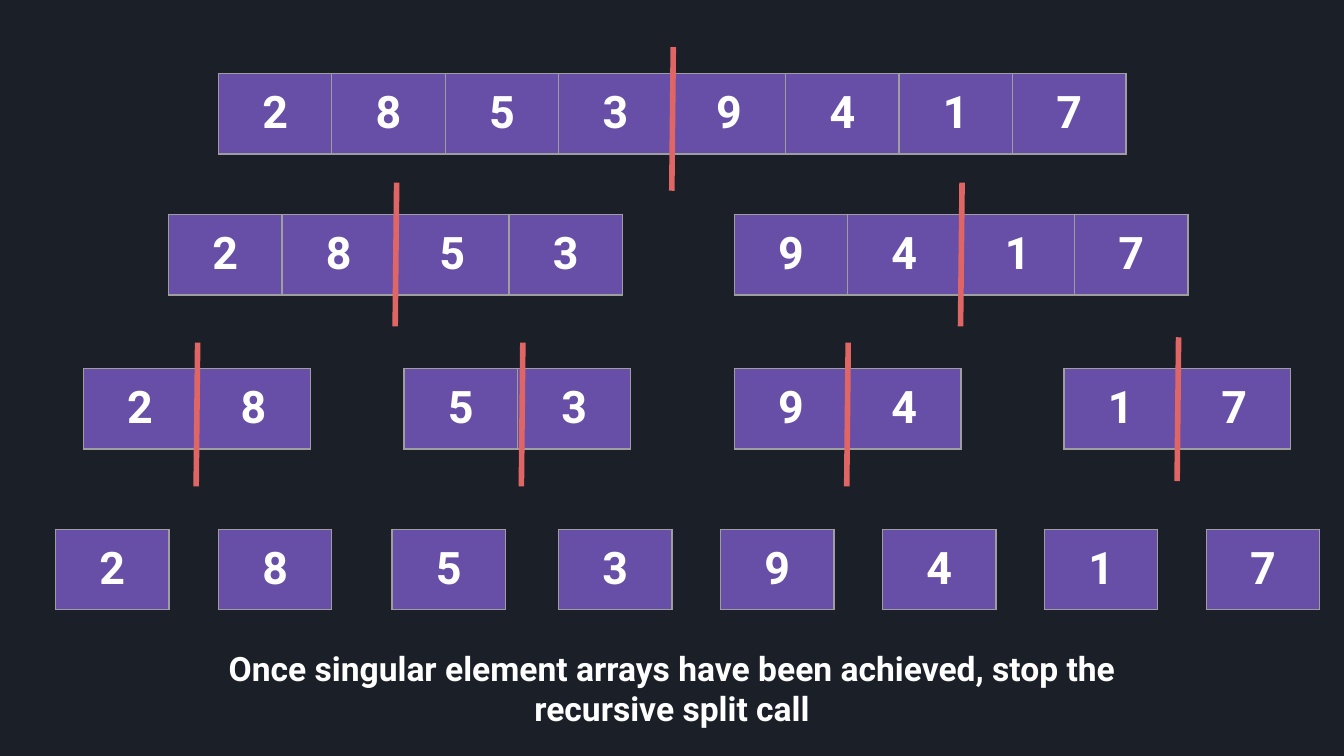
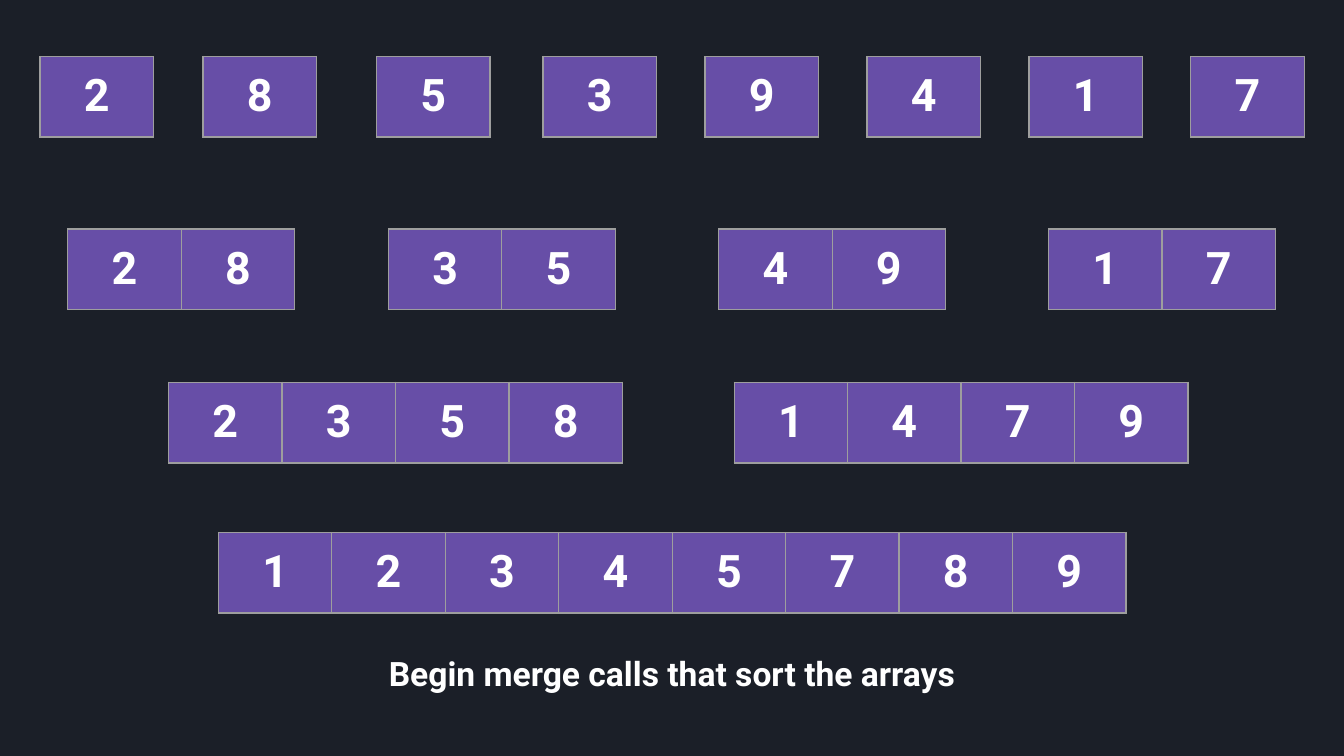
from lxml import etree
from pptx import Presentation
from pptx.dml.color import RGBColor
from pptx.enum import shapes, text
from pptx.oxml import ns
from pptx.util import Pt

FONT = "Roboto"
BACKGROUND, PURPLE, GREY, RED, WHITE = "1B1F28", "674EA7", "9E9E9E", "E06666", "FFFFFF"
CELL_WIDTH, CELL_HEIGHT, INSET = 60.8, 43.2, 7.2
SPLIT_LEAN, SPLIT_HEIGHT = 0.8, 77

NUMBERS = [2, 8, 5, 3, 9, 4, 1, 7]
LEFTS = {
    8: [117],
    4: [90.3, 393.3],
    2: [44.6, 216.4, 393.3, 570],
    1: [29.7, 117, 210, 299.2] + [386 + 86.75 * step for step in range(4)],
}
SPLITS = [
    (360.7, 25.2),
    (212.5, 97.9), (515.4, 97.9),
    (105.9, 183.6), (280.1, 183.6), (454.4, 183.6), (631.4, 180.7),
]
SLIDES = [
    {
        "caption": "Once singular element arrays have been achieved, "
                   "stop the recursive split call",
        "caption_top": 339.8,
        "tops": {8: 39.3, 4: 114.8, 2: 197.3, 1: 283.5},
        "shift": 0,
        "sorted": False,
        "splits": SPLITS,
    },
    {
        "caption": "Begin merge calls that sort the arrays",
        "caption_top": 342.6,
        "tops": {1: 30.2, 2: 122.7, 4: 204.8, 8: 285.2},
        "shift": -8.3,
        "sorted": True,
        "splits": [],
    },
]


def color(value):
    return RGBColor.from_string(value)


def write(frame, content, size):
    frame.margin_left = frame.margin_right = Pt(INSET)
    frame.margin_top = frame.margin_bottom = Pt(INSET)
    paragraph = frame.paragraphs[0]
    paragraph.alignment = text.PP_ALIGN.CENTER
    run = paragraph.add_run()
    run.text = content
    run.font.name = FONT
    run.font.size = Pt(size)
    run.font.bold = True
    run.font.color.rgb = color(WHITE)


presentation = Presentation()
presentation.slide_width = Pt(720)
presentation.slide_height = Pt(405)

for design in SLIDES:
    slide = presentation.slides.add_slide(presentation.slide_layouts[6])
    slide.background.fill.solid()
    slide.background.fill.fore_color.rgb = color(BACKGROUND)

    caption = slide.shapes.add_textbox(Pt(96), Pt(design["caption_top"]), Pt(528), Pt(124))
    caption.text_frame.word_wrap = True
    write(caption.text_frame, design["caption"], 18)

    for size, top in design["tops"].items():
        shift = design["shift"] if size <= 2 else 0
        for index, left in enumerate(LEFTS[size]):
            values = NUMBERS[index * size:(index + 1) * size]
            if design["sorted"]:
                values = sorted(values)
            table = slide.shapes.add_table(
                1, size, Pt(left + shift), Pt(top), Pt(size * CELL_WIDTH), Pt(CELL_HEIGHT)
            ).table
            table.first_row = False
            table.horz_banding = False
            for column, value in enumerate(values):
                table.columns[column].width = Pt(CELL_WIDTH)
                cell = table.cell(0, column)
                write(cell.text_frame, str(value), 24)
                cell.margin_left = cell.margin_right = Pt(INSET)
                cell.margin_top = cell.margin_bottom = Pt(INSET)
                properties = cell._tc.get_or_add_tcPr()
                for side in ("lnL", "lnR", "lnT", "lnB"):
                    border = etree.SubElement(properties, ns.qn(f"a:{side}"), w=str(Pt(0.75)))
                    fill = etree.SubElement(border, ns.qn("a:solidFill"))
                    etree.SubElement(fill, ns.qn("a:srgbClr"), val=GREY)
                cell.fill.solid()
                cell.fill.fore_color.rgb = color(PURPLE)

    for x, y in design["splits"]:
        split = slide.shapes.add_connector(
            shapes.MSO_CONNECTOR.STRAIGHT,
            Pt(x), Pt(y), Pt(x - SPLIT_LEAN), Pt(y + SPLIT_HEIGHT)
        )
        split.line.color.rgb = color(RED)
        split.line.width = Pt(3)
        etree.SubElement(split._element.spPr, ns.qn("a:effectLst"))

presentation.save("out.pptx")
